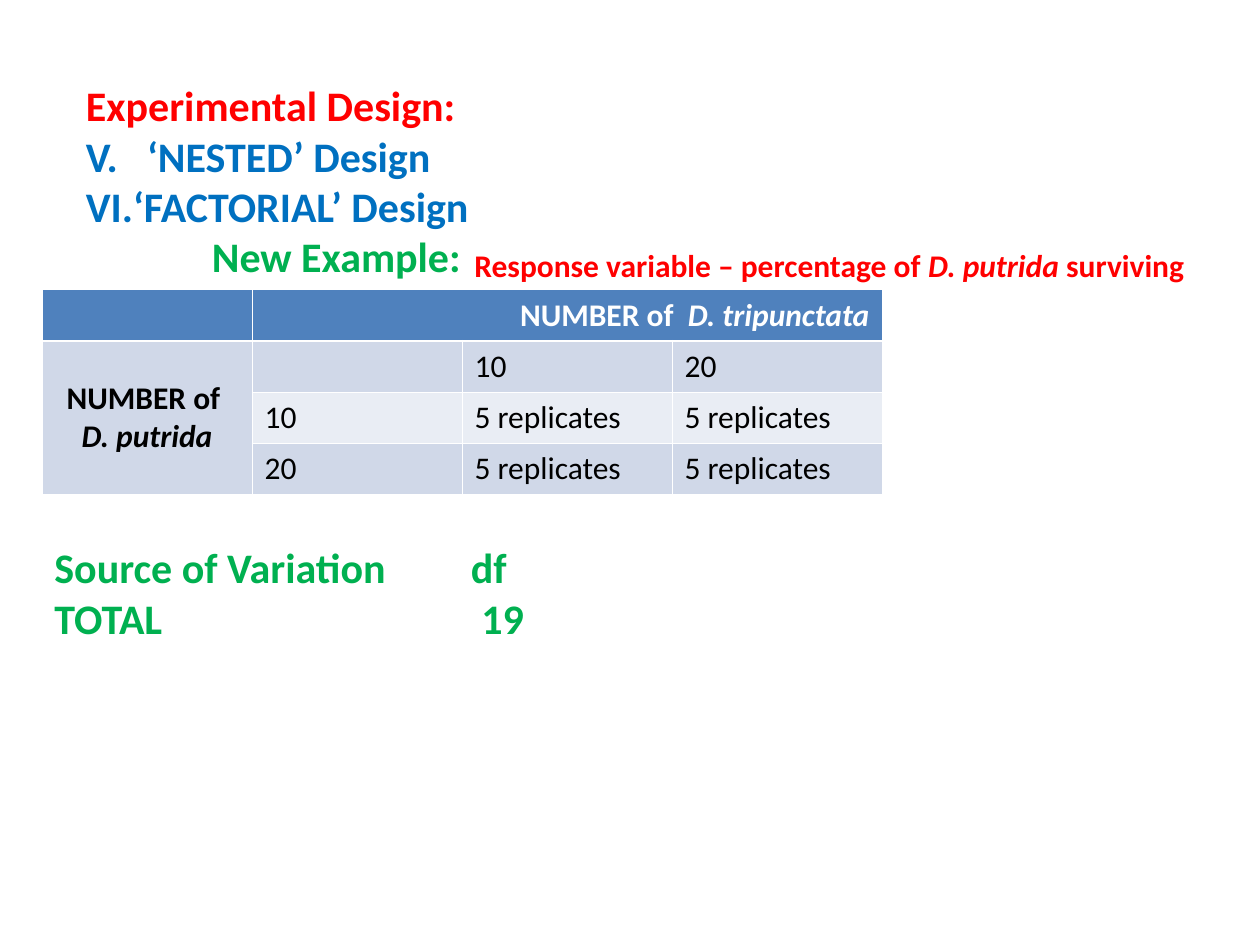
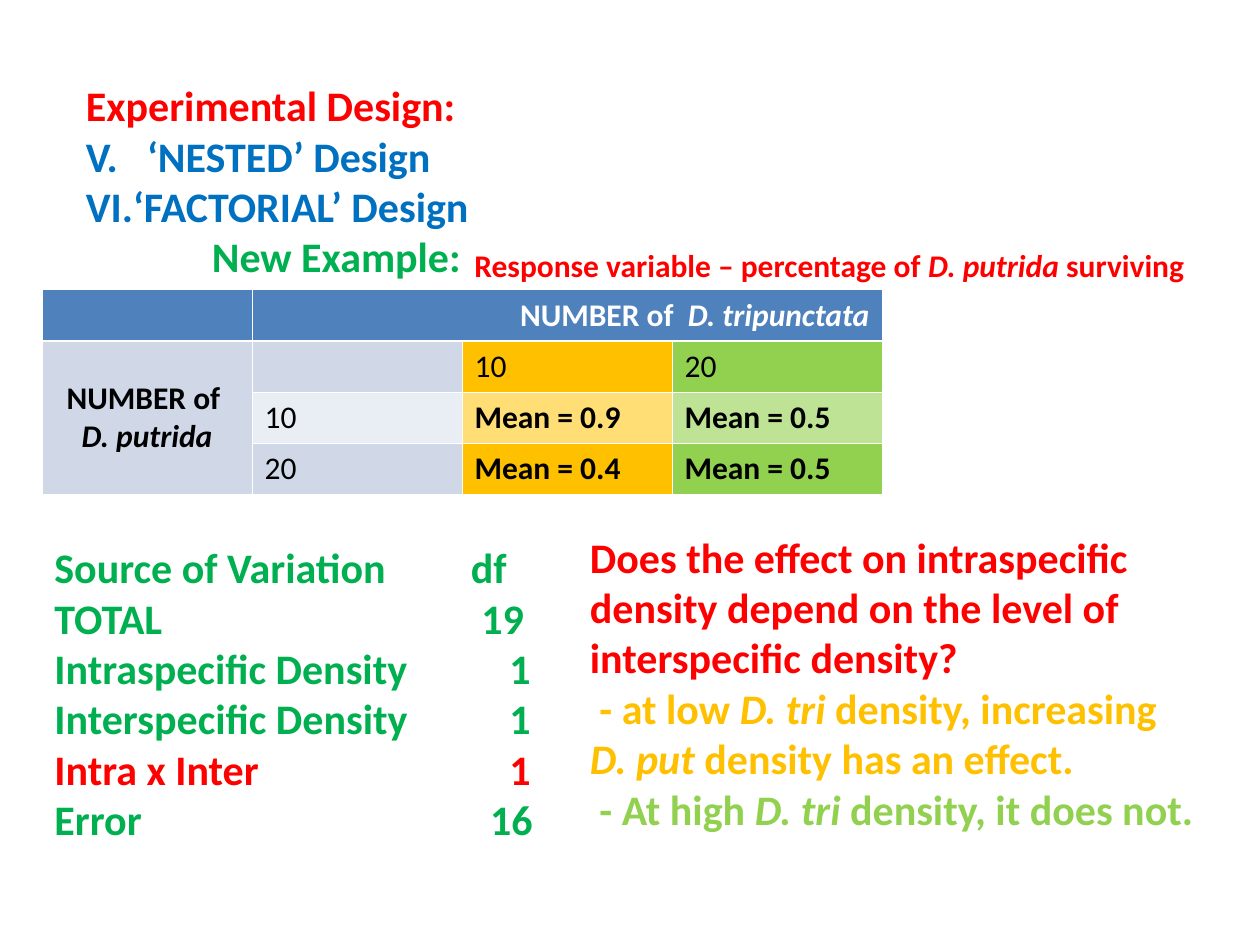
from lxml import etree
from pptx import Presentation
from pptx import util as u
from pptx.dml.color import RGBColor
from pptx.enum import text
from pptx.oxml import ns

Pt = u.Pt
rgb = RGBColor.from_string
FONT = "Calibri"
RED, BLUE, GREEN = "FF0000", "0070C0", "00B050"
AMBER, LIME = "FFC000", "92D050"
WHITE, BLACK = "FFFFFF", "000000"
HEADER, BAND, PALE_BAND = "4F81BD", "D0D8E8", "E9EDF4"
THIN, THICK = 0.45, 1.47

# A line is its text, its colour and, where it has a tab, the tab stop.
HEADING = [
    ("Experimental Design:", RED, None),
    ("V.\t‘NESTED’ Design", BLUE, 35),
    ("‘FACTORIAL’ Design", BLUE, None),
    ("New Example:", GREEN, None),
]
RESPONSE = [("Response variable – percentage of *D. putrida *surviving", RED, None)]
VARIATION = [
    ("Source of Variation\tdf", GREEN, 238),
    ("TOTAL\t19", GREEN, 244),
    ("Intraspecific Density\t1", GREEN, 260),
    ("Interspecific Density\t1", GREEN, 260),
    ("Intra x Inter\t1", RED, 260),
    ("Error\t16", GREEN, 249),
]
INTERACTION = [
    ("Does the effect on intraspecific density depend on the level of "
     "interspecific density?", RED, None),
    (" - at low *D. tri *density, increasing", AMBER, None),
    ("*D. put *density has an effect.", AMBER, None),
    (" - At high *D. tri *density, it does not.", LIME, None),
]

# Each slide: sources listed, box height, conclusion, treatment cells,
# their weight and the fills of the two treatment columns.
SLIDES = [
    (VARIATION[:2], 65, [], [["5 replicates"] * 2] * 2, False,
     [(BAND, PALE_BAND)] * 2),
    (VARIATION, 209, INTERACTION,
     [["Mean = 0.9", "Mean = 0.5"], ["Mean = 0.4", "Mean = 0.5"]], True,
     [(AMBER, "FFDE75"), (LIME, "BEE395")]),
]


def write(paragraph, line, color, size, bold=True):
    """Fill a paragraph; the parts between asterisks are italic."""
    for position, part in enumerate(line.split("*")):
        if part:
            run = paragraph.add_run()
            run.text = part
            run.font.name, run.font.size = FONT, Pt(size)
            run.font.bold, run.font.italic = bold, position % 2 == 1
            run.font.color.rgb = rgb(color)


def add_lines(slide, box, lines, size):
    frame = slide.shapes.add_textbox(*map(Pt, box)).text_frame
    frame.word_wrap = True
    for number, (line, color, tab) in enumerate(lines):
        paragraph = frame.add_paragraph() if number else frame.paragraphs[0]
        write(paragraph, line, color, size)
        if tab:
            stops = etree.SubElement(paragraph._p.get_or_add_pPr(), ns.qn("a:tabLst"))
            etree.SubElement(stops, ns.qn("a:tab"), pos=str(Pt(tab)), algn="l")
    return frame.paragraphs


deck = Presentation()
deck.slide_width, deck.slide_height = Pt(720), Pt(540)

for sources, sources_height, conclusion, treatments, bold, fills in SLIDES:
    slide = deck.slides.add_slide(deck.slide_layouts[6])

    heading = add_lines(slide, (42, 42, 576, 122), HEADING, 24)
    factorial = heading[2]._p.get_or_add_pPr()
    number_color = etree.SubElement(factorial, ns.qn("a:buClr"))
    etree.SubElement(number_color, ns.qn("a:srgbClr"), val=BLUE)
    etree.SubElement(factorial, ns.qn("a:buFont"), typeface=FONT)
    etree.SubElement(factorial, ns.qn("a:buAutoNum"), type="romanUcPeriod", startAt="6")
    heading[3]._p.get_or_add_pPr().set("marL", str(Pt(72)))

    design = slide.shapes.add_table(4, 4, Pt(24), Pt(165.6), Pt(480), Pt(116.8)).table
    design.horz_banding = False
    for row in design.rows:
        row.height = Pt(29.2)

    texts = [["", "NUMBER of  *D. tripunctata*", "", ""],
             ["", "", "10", "20"],
             ["", "10", *treatments[0]],
             ["", "20", *treatments[1]]]
    for r, row_texts in enumerate(texts):
        for c, cell_text in enumerate(row_texts):
            cell = design.cell(r, c)
            borders = {"lnL": THIN, "lnR": THIN,
                       "lnT": THICK if r == 1 else THIN,
                       "lnB": THICK if r == 0 else THIN}
            for side, width in borders.items():
                border = etree.SubElement(cell._tc.get_or_add_tcPr(),
                                          ns.qn("a:" + side), w=str(Pt(width)))
                paint = etree.SubElement(border, ns.qn("a:solidFill"))
                etree.SubElement(paint, ns.qn("a:srgbClr"), val=WHITE)

            dark, pale = fills[c - 2] if c >= 2 else (BAND, PALE_BAND)
            if c == 0:
                pale = BAND
            cell.fill.solid()
            cell.fill.fore_color.rgb = rgb((HEADER, dark, pale, dark)[r])
            write(cell.text_frame.paragraphs[0], cell_text,
                  BLACK if r else WHITE, 18,
                  bold=r == 0 or (bold and r >= 2 and c >= 2))

    design.cell(0, 1).merge(design.cell(0, 3))
    design.cell(0, 1).text_frame.paragraphs[0].alignment = text.PP_ALIGN.RIGHT
    putrida = design.cell(1, 0)
    putrida.merge(design.cell(3, 0))
    putrida.vertical_anchor = text.MSO_ANCHOR.MIDDLE
    putrida.text_frame.add_paragraph()
    for paragraph, label in zip(putrida.text_frame.paragraphs,
                                ("NUMBER of ", "*D. putrida*")):
        paragraph.alignment = text.PP_ALIGN.CENTER
        write(paragraph, label, BLACK, 18)

    add_lines(slide, (264, 136.8, 552, 29), RESPONSE, 18)
    add_lines(slide, (24, 306, 480, sources_height), sources, 24)
    if conclusion:
        add_lines(slide, (330, 300, 372, 180), conclusion, 24)

deck.save("out.pptx")
